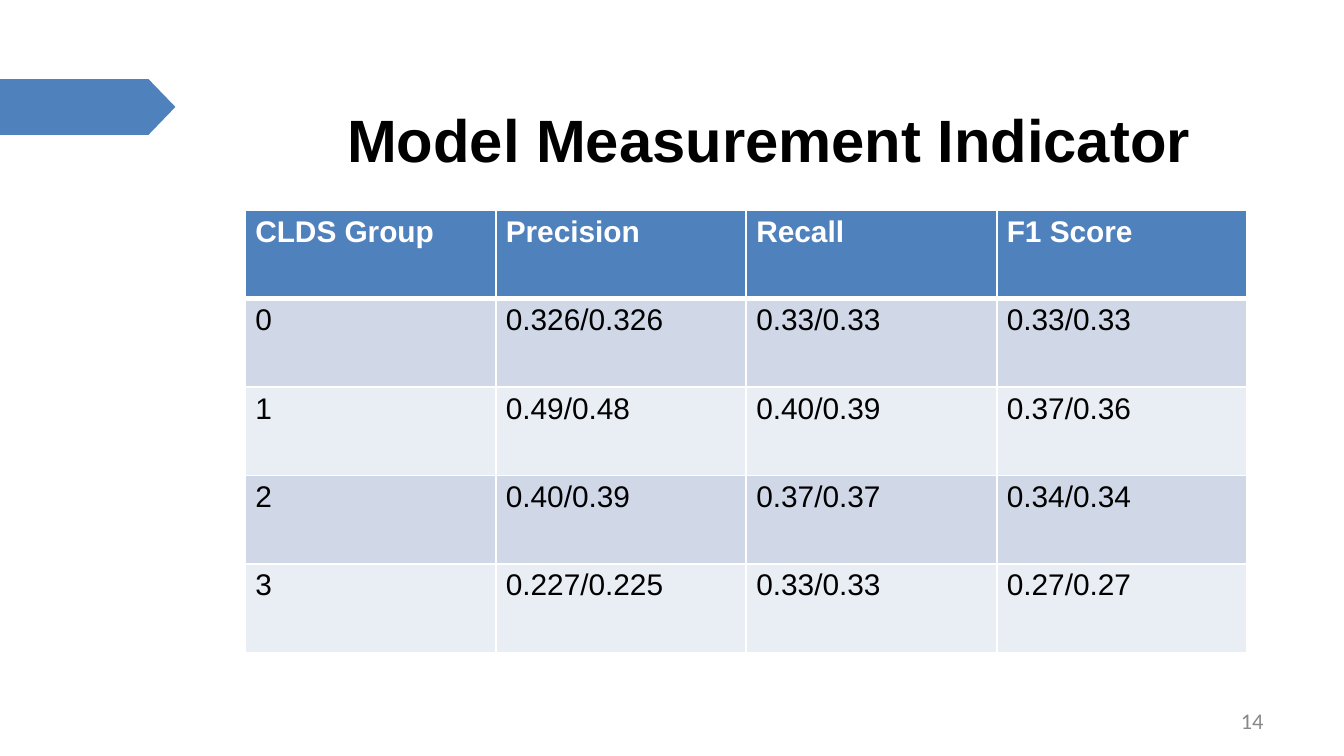
from dataclasses import dataclass

from lxml import etree
from pptx import Presentation
from pptx.dml.color import RGBColor
from pptx.enum.text import MSO_ANCHOR, PP_ALIGN
from pptx.oxml.ns import qn
from pptx.slide import Slide
from pptx.util import Pt

MIDDLE = MSO_ANCHOR.MIDDLE
CENTER, RIGHT = PP_ALIGN.CENTER, PP_ALIGN.RIGHT
BLANK_LAYOUT = 6


@dataclass(frozen=True)
class Theme:
    accent: str = "4F81BD"
    dark_band: str = "D0D8E8"
    light_band: str = "E9EDF4"
    black: str = "000000"
    white: str = "FFFFFF"
    gray: str = "888888"
    main_font: str = "Arial"
    number_font: str = "Calibri"
    title_size: float = 32
    table_size: float = 16
    number_size: float = 12
    thin_border: float = 1
    header_border: float = 3


@dataclass(frozen=True)
class TextStyle:
    font: str
    size: float
    color: str
    bold: bool = False


@dataclass(frozen=True)
class Label:
    text: str
    left: float
    top: float
    width: float
    height: float
    alignment: PP_ALIGN
    style: TextStyle


THEME = Theme()
HEADER_STYLE = TextStyle(THEME.main_font, THEME.table_size, THEME.white, True)
BODY_STYLE = TextStyle(THEME.main_font, THEME.table_size, THEME.black)

LABELS = [
    Label("Model Measurement Indicator ", 153.4, 36.7, 526.3, 75.6, CENTER,
          TextStyle(THEME.main_font, THEME.title_size, THEME.black, True)),
    Label("14", 516.2, 375.1, 167.8, 21.6, RIGHT,
          TextStyle(THEME.number_font, THEME.number_size, THEME.gray)),
]

TABLE_LEFT, TABLE_TOP = 131.4, 112.6
COLUMN_WIDTH, ROW_HEIGHT = 134.2, 47.4
SCORES = [
    ("CLDS Group", "Precision", "Recall", "F1 Score"),
    ("0", "0.326/0.326", "0.33/0.33", "0.33/0.33"),
    ("1", "0.49/0.48", "0.40/0.39", "0.37/0.36"),
    ("2", "0.40/0.39", "0.37/0.37", "0.34/0.34"),
    ("3", "0.227/0.225", "0.33/0.33", "0.27/0.27"),
]
ARROW_POINTS = [(0, 42.4), (79.6, 42.4), (94, 57.3), (79.6, 72.2), (0, 72.2)]


def format_runs(paragraph, style: TextStyle) -> None:
    for run in paragraph.runs:
        run.font.name = style.font
        run.font.size = Pt(style.size)
        run.font.bold = style.bold
        run.font.color.rgb = RGBColor.from_string(style.color)


def add_label(slide: Slide, label: Label) -> None:
    shape = slide.shapes.add_textbox(
        Pt(label.left), Pt(label.top), Pt(label.width), Pt(label.height))
    text_frame = shape.text_frame
    text_frame.word_wrap = True
    text_frame.vertical_anchor = MIDDLE
    text_frame.text = label.text
    paragraph = text_frame.paragraphs[0]
    paragraph.alignment = label.alignment
    format_runs(paragraph, label.style)


def add_arrow(slide: Slide) -> None:
    start, *others = [(Pt(x), Pt(y)) for x, y in ARROW_POINTS]
    builder = slide.shapes.build_freeform(*start)
    builder.add_line_segments(others, close=True)
    shape = builder.convert_to_shape()
    shape.shadow.inherit = False
    shape.fill.solid()
    shape.fill.fore_color.rgb = RGBColor.from_string(THEME.accent)
    shape.line.fill.background()


def set_borders(cell, top: float, bottom: float) -> None:
    properties = cell._tc.get_or_add_tcPr()
    thin = THEME.thin_border
    for tag, width in (("lnL", thin), ("lnR", thin), ("lnT", top), ("lnB", bottom)):
        line = etree.SubElement(properties, qn(f"a:{tag}"), w=str(Pt(width)))
        fill = etree.SubElement(line, qn("a:solidFill"))
        etree.SubElement(fill, qn("a:srgbClr"), val=THEME.white)


def add_score_table(slide: Slide) -> None:
    row_count, column_count = len(SCORES), len(SCORES[0])
    table = slide.shapes.add_table(
        row_count, column_count, Pt(TABLE_LEFT), Pt(TABLE_TOP),
        Pt(COLUMN_WIDTH * column_count), Pt(ROW_HEIGHT * row_count)).table
    for column in table.columns:
        column.width = Pt(COLUMN_WIDTH)
    for row_index, values in enumerate(SCORES):
        table.rows[row_index].height = Pt(ROW_HEIGHT)
        is_header = row_index == 0
        band = THEME.dark_band if row_index % 2 else THEME.light_band
        top = THEME.header_border if row_index == 1 else THEME.thin_border
        bottom = THEME.header_border if is_header else THEME.thin_border
        for column_index, value in enumerate(values):
            cell = table.cell(row_index, column_index)
            cell.margin_left = cell.margin_right = Pt(5.4)
            cell.margin_top = cell.margin_bottom = Pt(2.7)
            set_borders(cell, top, bottom)
            cell.fill.solid()
            cell.fill.fore_color.rgb = RGBColor.from_string(
                THEME.accent if is_header else band)
            cell.text_frame.text = value
            format_runs(cell.text_frame.paragraphs[0],
                        HEADER_STYLE if is_header else BODY_STYLE)


def main() -> None:
    presentation = Presentation()
    presentation.slide_width, presentation.slide_height = Pt(720), Pt(405)
    slide = presentation.slides.add_slide(presentation.slide_layouts[BLANK_LAYOUT])

    # Side arrow
    add_arrow(slide)
    # Title and slide number
    for label in LABELS:
        add_label(slide, label)
    # Scores for each group
    add_score_table(slide)

    presentation.save("out.pptx")


if __name__ == "__main__":
    main()
